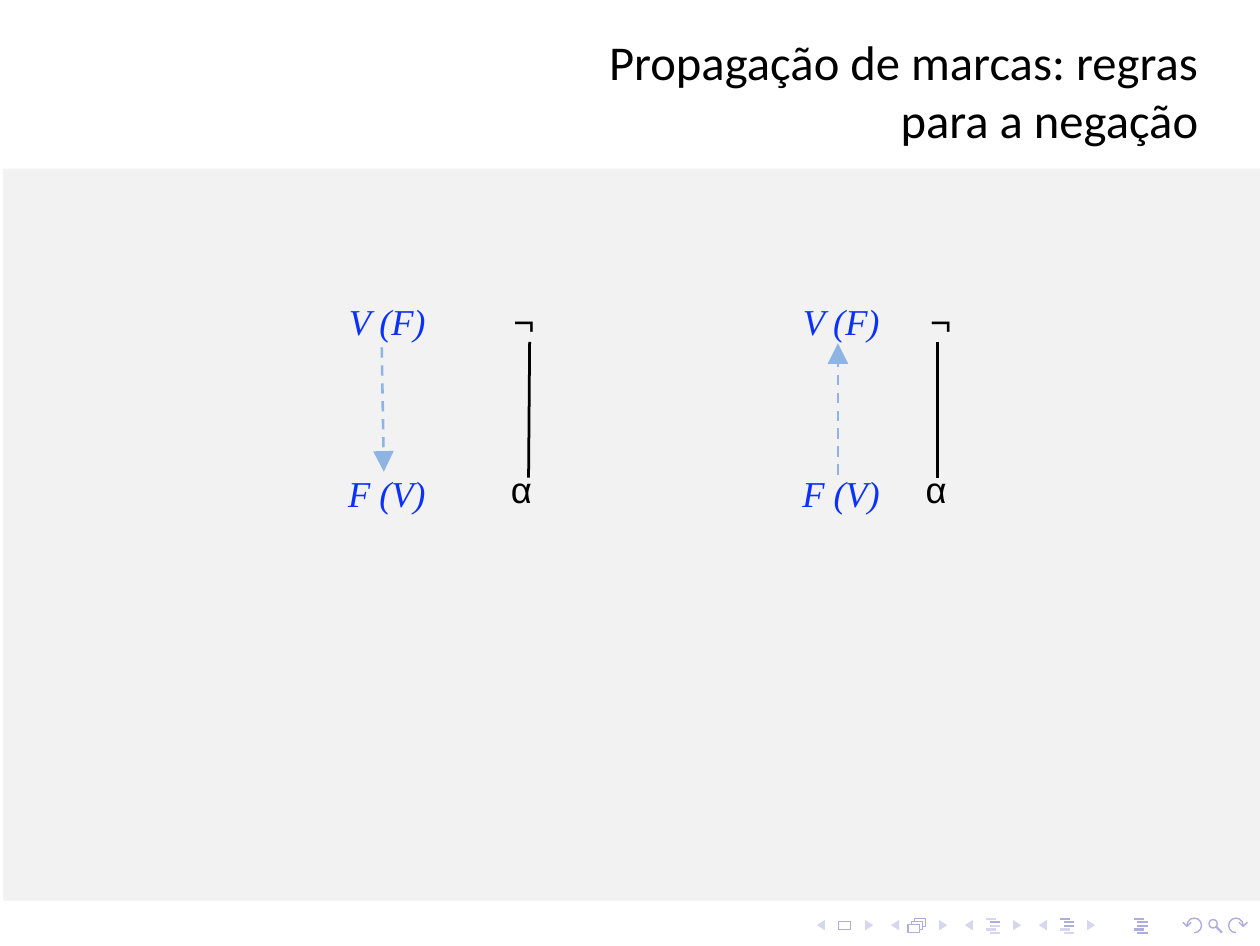
from math import cos, radians, sin

from lxml import etree
from pptx import Presentation
from pptx.dml.color import RGBColor
from pptx.enum import dml, shapes, text
from pptx.oxml.ns import qn
from pptx.util import Pt

INK, BLUE, ARROW = "000000", "0A31FF", "8EB4E3"
NAV, NAV_PALE = "ADADE0", "D6D6EF"

prs = Presentation()
prs.slide_width, prs.slide_height = Pt(363), Pt(272.5)
s = prs.slides.add_slide(prs.slide_layouts[6])


def paint(sp, fill=None, line=None, width=0.4):
    """Fill and outline a shape, leaving out whichever colour is missing."""
    sp.shadow.inherit = False
    for part, color in ((sp.fill, fill), (sp.line.fill, line)):
        if color:
            part.solid()
            part.fore_color.rgb = RGBColor.from_string(color)
        else:
            part.background()
    if line:
        sp.line.width = Pt(width)


def draw(contours, **style):
    """Make one freeform of several contours; one that ends at its start is closed."""
    fb = None
    for points in contours:
        pts = [(Pt(x), Pt(y)) for x, y in points]
        if fb is None:
            fb = s.shapes.build_freeform(*pts[0], scale=1.0)
        else:
            fb.move_to(*pts[0])
        closed = pts[0] == pts[-1]
        fb.add_line_segments(pts[1:-1] if closed else pts[1:], close=closed)
    paint(fb.convert_to_shape(), **style)


# Navigation bar: four pairs of triangles, 21.3 pt apart
nav_x, nav_step = 235.4, 21.3
for i in range(4):
    left = nav_x + i * nav_step
    right = left + 13.9
    draw([[(left + 2.3, 265), (left, 266.5), (left + 2.3, 268), (left + 2.3, 265)],
          [(right, 265), (right, 268), (right + 2.3, 266.5), (right, 265)]], fill=NAV_PALE)

# Slide and stacked frames
draw([[(241.6, 267.8), (245.1, 267.8), (245.1, 265.4), (241.6, 265.4), (241.6, 267.8)]], line=NAV)
draw([[(261.6, 268.6), (264.9, 268.6), (264.9, 266.3), (261.6, 266.3), (261.6, 268.6)],
      [(262.6, 266.3), (262.6, 265.4), (265.8, 265.4), (265.8, 267.7), (264.9, 267.7)],
      [(263.5, 265.4), (263.5, 264.6), (266.7, 264.6), (266.7, 266.8), (265.8, 266.8)]], line=NAV)

# Outline icons: five text lines each, some of them highlighted
for i, highlighted in enumerate([{1}, {0, 1, 2}, {0, 1, 2, 3, 4}]):
    rows = {NAV: [], NAV_PALE: []}
    for n in range(5):
        x = 284.1 + i * nav_step + (0 if n in (0, 3) else 1)
        y = 264.7 + n * 1.02
        rows[NAV if n in highlighted else NAV_PALE].append([(x, y), (x + 3, y)])
    for color, lines in rows.items():
        if lines:
            draw(lines, line=color, width=0.6)

# Magnifier, with a back and a forward arrow on either side
lens = s.shapes.add_shape(shapes.MSO_SHAPE.OVAL, Pt(348.3), Pt(264.9), Pt(2.4), Pt(2.4))
paint(lens, line=NAV)
draw([[(350.4, 267), (352.1, 268.7)]], line=NAV, width=0.6)
arc = [(2.1 * cos(radians(a)), 2.1 * sin(radians(a))) for a in range(90, -181, -30)]
head = [(-0.9, -0.9), (-2.1, 0.3), (-3.3, -0.9)]
draw([[(cx + side * x, 266.6 + y) for x, y in curve]
      for cx, side in ((344.1, 1), (356.1, -1)) for curve in (arc, head)], line=NAV)

# Content panel
panel = s.shapes.add_shape(shapes.MSO_SHAPE.RECTANGLE, Pt(0.9), Pt(48.6), Pt(362.1), Pt(210.9))
paint(panel, fill="F2F2F2")

# Texts: left, top, width, height, space before, alignment, runs of (words, font, size, color)
V, F = (("V (F)", "Times New Roman", 10.5, BLUE), ("F (V)", "Times New Roman", 10.5, BLUE))
NOT, ALPHA = (("¬", "Arial", 10.5, INK), ("α", "Arial", 10.5, INK))
TITLE = ("Propagação de marcas: regras para a negação", "Calibri", 14, INK)
L, R = text.PP_ALIGN.LEFT, text.PP_ALIGN.RIGHT
for x, y, w, h, before, align, runs in [
    (163.3, 7.7, 182, 53.3, 1.4, R, [TITLE]),
    (146.3, 133.6, 69.1, 13.7, 0.9, L, [ALPHA]),
    (265.8, 133.6, 69.1, 13.7, 0.9, L, [ALPHA]),
    (99.6, 85.2, 192.2, 13.7, 0.9, L, [V]),
    (99.4, 134.9, 192.9, 13.7, 0.9, L, [F]),
    (147, 85.2, 66.2, 13.7, 0.9, L, [NOT]),
    (230.4, 85.2, 130, 13.7, 0.9, L, [V, NOT]),
    (230.3, 134.9, 130, 13.7, 0.9, L, [F]),
]:
    tf = s.shapes.add_textbox(Pt(x), Pt(y), Pt(w), Pt(h)).text_frame
    tf.word_wrap = True
    tf.margin_left, tf.margin_top, tf.margin_right, tf.margin_bottom = Pt(0.9), Pt(before), 0, 0
    p = tf.paragraphs[0]
    p.alignment, p.space_before = align, Pt(before)
    for i, (words, font, size, color) in enumerate(runs):
        r = p.add_run()
        r.text = words + ("\t" if i < len(runs) - 1 else "")
        r.font.name, r.font.size = font, Pt(size)
        r.font.italic = color == BLUE
        r.font.color.rgb = RGBColor.from_string(color)
    if len(runs) > 1:
        tabs = etree.SubElement(p._p.get_or_add_pPr(), qn("a:tabLst"))
        etree.SubElement(tabs, qn("a:tab"), pos=str(Pt(36.7)), algn="l")

# Formula branches and the dashed arrows of propagation
for x1, y1, x2, y2, color, is_arrow in [
    (152.6, 98.5, 152.3, 137.6, INK, False),
    (270.2, 98.5, 270.2, 137.6, INK, False),
    (110, 100.1, 110.6, 135.9, ARROW, True),
    (241.4, 136.7, 241.4, 98.9, ARROW, True),
]:
    c = s.shapes.add_connector(shapes.MSO_CONNECTOR.STRAIGHT, Pt(x1), Pt(y1), Pt(x2), Pt(y2))
    c.line.color.rgb = RGBColor.from_string(color)
    c.line.width = Pt(0.75 if is_arrow else 0.79)
    if is_arrow:
        c.line.dash_style = dml.MSO_LINE.DASH
        etree.SubElement(c.line._get_or_add_ln(), qn("a:tailEnd"), type="triangle")
    etree.SubElement(c._element.spPr, qn("a:effectLst"))

prs.save("out.pptx")
